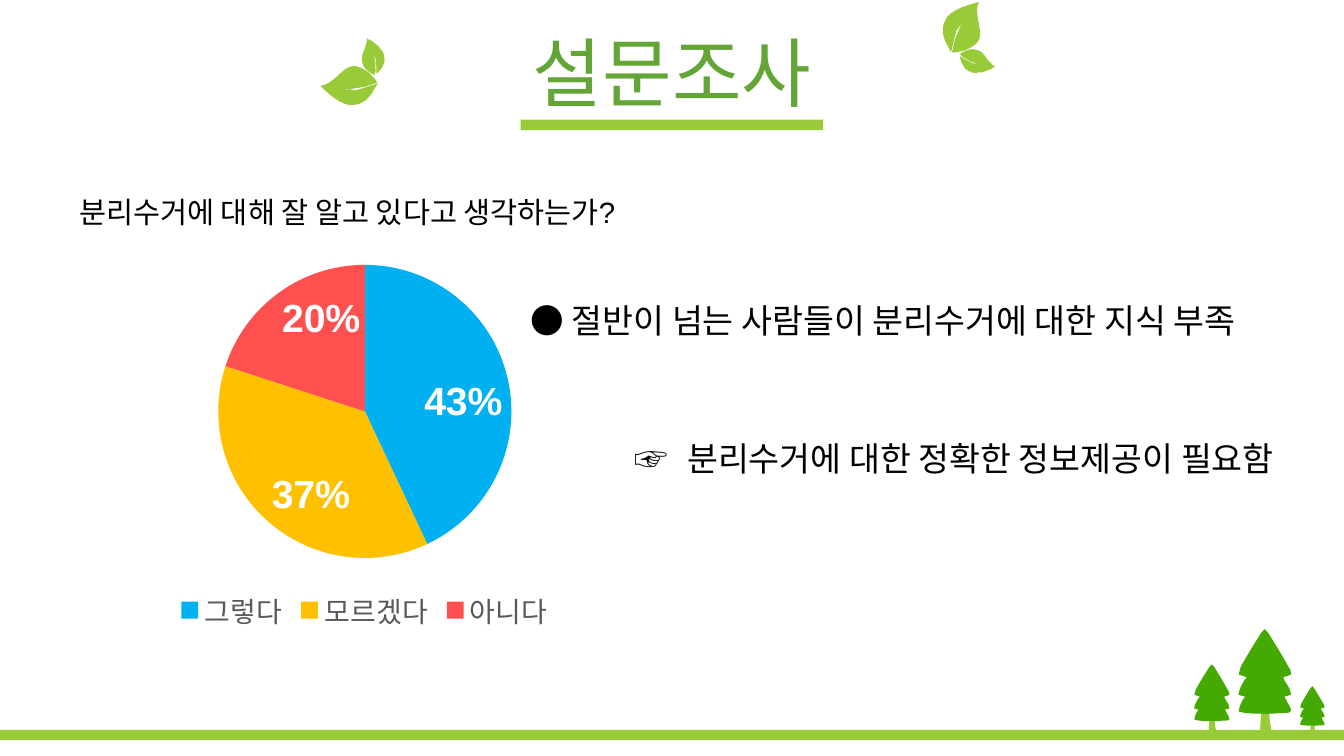
import math

import pptx
import pptx.chart.data
import pptx.dml.color
import pptx.enum.chart
import pptx.enum.shapes
import pptx.enum.text
import pptx.oxml
import pptx.oxml.ns
import pptx.util

PX = 9525
LATIN_FONT, KOREAN_FONT = "Arial", "Noto Sans CJK KR"
LIME, PINE, TITLE_GREEN = "99CB38", "44A900", "63A537"
SLICES = [("그렇다", 43, "00B0F0"), ("모르겠다", 37, "FFC000"), ("아니다", 20, "FF5050")]
CURVE_STEPS = 2

# Outlines are a start point followed by cubic curves (two handles, one end).
TREE_SIZE = (53, 107)
TREE_CROWN = [
    (23, 85), (18, 85), (12, 85), (6, 84), (0, 84), (-1, 83), (2, 77),
    (3, 74), (5, 71), (7, 68), (-1, 67), (-1, 67), (2, 60),
    (3, 58), (4, 56), (5, 54), (6, 52), (8, 50), (9, 49),
    (-1, 47), (-1, 47), (3, 38), (9, 27), (16, 16), (23, 5),
    (26, 0), (27, 0), (30, 5), (38, 17), (45, 30), (52, 42),
    (54, 46), (53, 47), (48, 48), (44, 48), (44, 49), (46, 52),
    (48, 55), (49, 57), (51, 60), (54, 67), (54, 67), (46, 68),
    (48, 72), (50, 76), (52, 79), (53, 82), (53, 83), (50, 84),
    (44, 85), (37, 84), (31, 85), (28, 86), (26, 86), (23, 85),
]
TREE_TRUNK = [
    (23, 85), (26, 85), (28, 85), (31, 85), (31, 90), (32, 95), (33, 100),
    (33, 104), (31, 106), (27, 106), (24, 107), (21, 104), (22, 100),
    (22, 95), (23, 90), (23, 85),
]
LEAF_SIZE = (52, 71)
LARGE_LEAF = [
    (8, 50), (9, 34), (15, 22), (26, 11), (19, 19), (15, 28), (12, 37),
    (11, 41), (10, 45), (9, 50), (10, 50), (11, 50), (12, 50),
    (16, 49), (19, 49), (22, 48), (25, 47), (28, 45), (31, 43),
    (33, 42), (34, 40), (35, 39), (36, 37), (37, 35), (37, 32),
    (37, 30), (37, 27), (36, 24), (36, 22), (36, 21), (35, 19),
    (35, 16), (34, 13), (34, 10), (34, 9), (34, 8), (34, 7),
    (34, 4), (35, 2), (36, 0), (31, 1), (28, 2), (25, 3),
    (21, 4), (17, 6), (13, 8), (10, 10), (6, 12), (4, 15),
    (3, 17), (2, 19), (1, 21), (0, 24), (0, 26), (0, 29),
    (0, 31), (0, 33), (1, 35), (2, 38), (3, 41), (5, 44),
    (6, 46), (7, 48), (8, 50),
]
SMALL_LEAF = [
    (43, 63), (33, 63), (24, 60), (17, 54), (17, 56), (17, 57), (18, 58),
    (18, 59), (18, 60), (19, 61), (20, 63), (21, 64), (22, 66),
    (24, 68), (26, 69), (29, 70), (31, 71), (33, 71), (35, 70),
    (36, 70), (38, 70), (39, 70), (41, 69), (42, 69), (44, 68),
    (45, 68), (47, 67), (49, 66), (50, 65), (51, 64), (52, 64),
    (50, 63), (48, 62), (47, 60), (45, 58), (43, 56), (42, 54),
    (40, 51), (38, 49), (35, 48), (33, 47), (30, 47), (27, 47),
    (24, 48), (21, 49), (19, 50), (18, 51), (17, 51), (17, 52),
    (18, 53), (19, 54), (20, 55), (21, 55), (22, 56), (24, 57),
    (25, 58), (26, 58), (27, 59), (30, 60), (33, 61), (36, 62),
    (38, 63), (41, 63), (43, 63),
]


def px(n):
    return pptx.util.Emu(round(n * PX))


def rgb(color):
    return pptx.dml.color.RGBColor.from_string(color)


def set_font(font, size, color, **attrs):
    values = {"size": pptx.util.Pt(size), "name": LATIN_FONT, **attrs}
    for name, value in values.items():
        setattr(font, name, value)
    font.color.rgb = rgb(color)


def paint(sp, color):
    sp.shadow.inherit = False
    sp.fill.solid()
    sp.fill.fore_color.rgb = rgb(color)
    sp.line.fill.background()


def flatten(outline):
    """Turn a chain of cubic curves into the points of a polygon."""
    points = [outline[0]]
    for i in range(0, len(outline) - 1, 3):
        curve = outline[i:i + 4]
        for step in range(1, CURVE_STEPS + 1):
            t = step / CURVE_STEPS
            weights = ((1 - t) ** 3, 3 * t * (1 - t) ** 2, 3 * t * t * (1 - t), t ** 3)
            points.append(tuple(sum(w * pt[axis] for w, pt in zip(weights, curve))
                                for axis in (0, 1)))
    return points


def add_outline(s, outline, size, box, color, angle=0):
    """Fit an outline drawn on a size grid into box, turned about its centre."""
    left, top, width, height = box
    scale = height / size[1]
    cos, sin = math.cos(math.radians(angle)), math.sin(math.radians(angle))
    points = []
    for x, y in flatten(outline):
        dx, dy = (x - size[0] / 2) * scale, (y - size[1] / 2) * scale
        points.append((px(left + width / 2 + dx * cos - dy * sin),
                       px(top + height / 2 + dx * sin + dy * cos)))
    builder = s.shapes.build_freeform(*points[0], scale=1.0)
    builder.add_line_segments(points[1:-1], close=True)
    paint(builder.convert_to_shape(), color)


def add_tree(s, box):
    add_outline(s, TREE_CROWN, TREE_SIZE, box, PINE)
    add_outline(s, TREE_TRUNK, TREE_SIZE, box, LIME)


def add_leaves(s, box, angle=0):
    for leaf in (LARGE_LEAF, SMALL_LEAF):
        add_outline(s, leaf, LEAF_SIZE, box, LIME, angle)


def add_bar(s, box):
    sp = s.shapes.add_shape(pptx.enum.shapes.MSO_SHAPE.RECTANGLE, *map(px, box))
    paint(sp, LIME)


def add_text(s, box, text, size, color="000000", tab=None, **paragraph):
    tf = s.shapes.add_textbox(*map(px, box)).text_frame
    tf.word_wrap = True
    tf.vertical_anchor = pptx.enum.text.MSO_ANCHOR.MIDDLE
    p = tf.paragraphs[0]
    for name, value in paragraph.items():
        setattr(p, name, value)
    if tab:
        tabs = pptx.oxml.parse_xml(
            f'<a:tabLst {pptx.oxml.ns.nsdecls("a")}><a:tab pos="{px(tab)}" algn="l"/></a:tabLst>')
        p._p.get_or_add_pPr().append(tabs)
    r = p.add_run()
    r.text = text
    set_font(r.font, size, color)
    east_asian = pptx.oxml.parse_xml(
        f'<a:ea {pptx.oxml.ns.nsdecls("a")} typeface="{KOREAN_FONT}"/>')
    r._r.get_or_add_rPr().append(east_asian)


def add_survey_pie(s, box):
    names, values, colors = zip(*SLICES)
    data = pptx.chart.data.CategoryChartData()
    data.categories = names
    data.add_series("Series 1", values)
    chart = s.shapes.add_chart(pptx.enum.chart.XL_CHART_TYPE.PIE, *map(px, box), data).chart
    set_font(chart.font, 10, "000000")
    chart.has_title = False
    chart.has_legend = True
    chart.legend.position = pptx.enum.chart.XL_LEGEND_POSITION.BOTTOM
    chart.legend.include_in_layout = False
    set_font(chart.legend.font, 20, "595959")
    plot = chart.plots[0]
    plot.vary_by_categories = True
    for i, color in enumerate(colors):
        fmt = plot.series[0].points[i].format
        fmt.fill.solid()
        fmt.fill.fore_color.rgb = rgb(color)
        fmt.line.fill.background()
    labels = plot.series[0].data_labels
    labels.show_percentage = True
    labels.show_value = False
    labels.position = pptx.enum.chart.XL_LABEL_POSITION.INSIDE_END
    set_font(labels.font, 28, "FFFFFF", bold=True)


def add_scenery(s, box):
    left, top, width, height = box
    ground = top + height - 19
    for x, tree_height in ((1179, 103), (1238, 48), (1137, 69)):
        tree_width = tree_height * TREE_SIZE[0] / TREE_SIZE[1]
        add_tree(s, (left + x, ground - tree_height, tree_width, tree_height))
    add_leaves(s, (left + 898, top + 2, 50, 68))
    add_leaves(s, (left + 314, top + 38, 50, 68), angle=238.6)
    add_bar(s, (left, top + height - 25, width, 10))


def add_title(s, box):
    left, top, width, height = box
    add_bar(s, (left + (width - 288) / 2, top + height + 3, 288, 10))
    add_text(s, box, "설문조사", 54, TITLE_GREEN, line_spacing=0.9,
             alignment=pptx.enum.text.PP_ALIGN.CENTER)


def add_survey(s, box):
    left, top = box[:2]
    add_text(s, (left, top, 591, 43), "분리수거에 대해 잘 알고 있다고 생각하는가?", 21)
    add_survey_pie(s, (left + 6, top + 59, 551, 367))
    add_text(s, (left + 430, top + 101, 773, 48),
             "● 절반이 넘는 사람들이 분리수거에 대한 지식 부족", 24)
    add_text(s, (left + 529, top + 232, 685, 48),
             "☞\t분리수거에 대한 정확한 정보제공이 필요함", 24, tab=50)


def main():
    prs = pptx.Presentation()
    prs.slide_width, prs.slide_height = px(1280), px(720)
    s = prs.slides.add_slide(prs.slide_layouts[6])
    add_scenery(s, (0, 0, 1280, 720))
    add_title(s, (32, 35, 1216, 76))
    add_survey(s, (66, 180, 1214, 427))
    prs.save("out.pptx")


if __name__ == "__main__":
    main()
